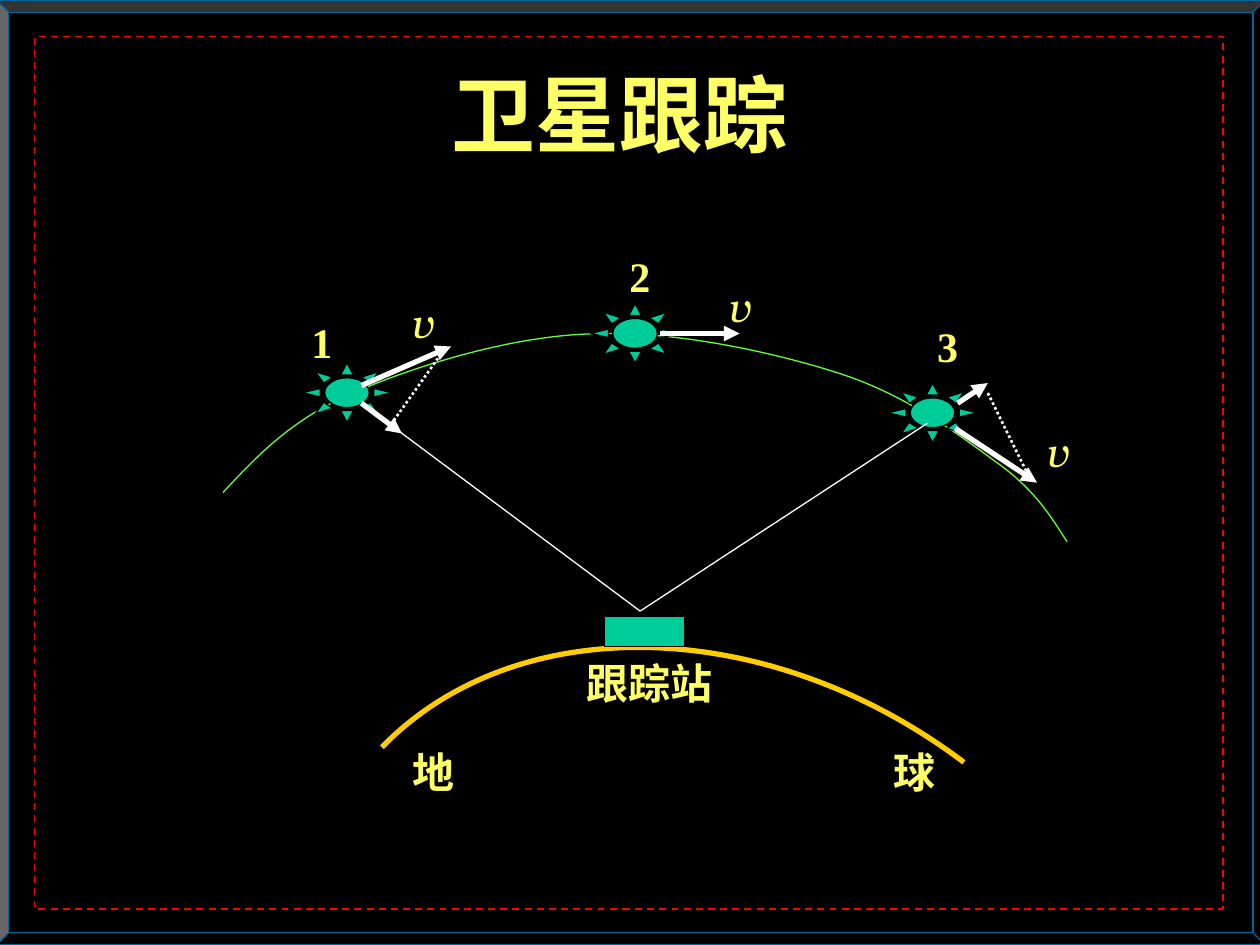
"""Build the satellite tracking slide: orbit, velocity vectors and ground station."""
from lxml import etree
from pptx import Presentation
from pptx.dml.color import RGBColor
from pptx.enum import dml, shapes, text
from pptx.oxml import ns
from pptx.util import Pt

BLACK = RGBColor(0x00, 0x00, 0x00)
WHITE = RGBColor(0xFF, 0xFF, 0xFF)
BLUE = RGBColor(0x00, 0x66, 0x99)
RED = RGBColor(0xFF, 0x00, 0x00)
GOLD = RGBColor(0xFF, 0xCC, 0x00)
GREEN = RGBColor(0x66, 0xFF, 0x33)
TEAL = RGBColor(0x00, 0xCC, 0x99)
YELLOW = RGBColor(0xFF, 0xFF, 0x66)


def style(shape, fill, line, width):
    shape.shadow.inherit = False
    if fill is None:
        shape.fill.background()
    else:
        shape.fill.solid()
        shape.fill.fore_color.rgb = fill
    shape.line.color.rgb = line
    shape.line.width = Pt(width)


def add_curve(canvas, points):
    start, *rest = [(Pt(x), Pt(y)) for x, y in points]
    builder = canvas.build_freeform(*start)
    builder.add_line_segments(rest, close=False)
    curve = builder.convert_to_shape()
    lines = list(curve._element.iter(ns.qn("a:lnTo")))
    for i in range(0, len(lines), 3):
        bezier = etree.SubElement(lines[i].getparent(), ns.qn("a:cubicBezTo"))
        for line in lines[i:i + 3]:
            bezier.append(line[0])
            line.getparent().remove(line)
    return curve


prs = Presentation()
prs.slide_width, prs.slide_height = Pt(720), Pt(540)
slide = prs.slides.add_slide(prs.slide_layouts[6])
slide.background.fill.solid()
slide.background.fill.fore_color.rgb = BLACK
canvas = slide.shapes
kinds = shapes.MSO_SHAPE

frame = canvas.add_shape(kinds.BEVEL, Pt(-2), Pt(0), Pt(725), Pt(540))
frame.adjustments[0] = 0.013
style(frame, BLACK, BLUE, 0.75)
border = canvas.add_shape(kinds.RECTANGLE, Pt(19.8), Pt(20.9), Pt(679), Pt(498.5))
style(border, None, RED, 1)
border.line.dash_style = dml.MSO_LINE.DASH

earth = [(550.8, 435.6), (439.2, 351.4), (295.2, 347.8), (218.2, 427)]
orbit = [
    (127.4, 281.5),
    (146.9, 260.6), (166.3, 239.8), (201.6, 224.6),
    (236.2, 209.5), (290.9, 192.2), (337.7, 190.8),
    (383.8, 188.6), (440.6, 200.9), (478.8, 213.1),
    (517.7, 225.4), (547.9, 248.4), (569.5, 264.2),
    (591.8, 280.1), (600.5, 295.2), (609.8, 309.6),
]
for points, color, width in ((earth, GOLD, 3), (orbit, GREEN, 0.75)):
    style(add_curve(canvas, points), None, color, width)

for left, top in ((172.8, 207.4), (337.4, 173.5), (507.4, 218.9)):
    satellite = canvas.add_shape(kinds.SUN, Pt(left), Pt(top), Pt(51), Pt(34))
    satellite.adjustments[0] = 0.25
    style(satellite, TEAL, BLACK, 0.75)
station = canvas.add_shape(kinds.RECTANGLE, Pt(345.6), Pt(352), Pt(45.4), Pt(17.3))
style(station, TEAL, BLACK, 0.75)

VECTOR, SIGHT, PROJECTION = "vector", "sight", "projection"
widths = {VECTOR: 3, SIGHT: 0.75, PROJECTION: 1.5}
rays = [
    (VECTOR, 206.6, 220.3, 257.8, 198),
    (SIGHT, 206.6, 230.4, 365.8, 349.2),
    (VECTOR, 206.6, 230.4, 229.7, 247.7),
    (PROJECTION, 252, 202.3, 223.9, 241.9),
    (VECTOR, 377.3, 190.6, 422.6, 190.6),
    (VECTOR, 545.8, 244.8, 592.6, 275.8),
    (SIGHT, 365.8, 349.2, 529.9, 241.9),
    (VECTOR, 547.2, 230.4, 564.5, 218.9),
    (PROJECTION, 564.5, 224.6, 586.8, 270),
]
for role, *ends in rays:
    ray = canvas.add_connector(shapes.MSO_CONNECTOR.STRAIGHT, *map(Pt, ends))
    ray.line.color.rgb = WHITE
    ray.line.width = Pt(widths[role])
    if role == PROJECTION:
        ray.line.dash_style = dml.MSO_LINE.ROUND_DOT
    properties = ray._element.spPr
    if role == VECTOR:
        outline = properties.find(ns.qn("a:ln"))
        etree.SubElement(outline, ns.qn("a:tailEnd"), type="triangle")
    etree.SubElement(properties, ns.qn("a:effectLst"))

label = {"name": "Times New Roman", "size": Pt(24), "bold": True}
title = {**label, "size": Pt(48)}
symbol = {"name": "TeX Gyre Bonum", "size": Pt(24), "italic": True}
captions = [
    ("跟踪站", 320, 372.2, 102.2, 36, label),
    ("地\t球", 195.8, 423, 380.2, 36, label),
    ("卫星跟踪", 217.8, 32.2, 272.2, 64.8, title),
    ("1", 161.3, 177.1, 45.4, 36, label),
    ("2", 343, 139.7, 45.4, 36, label),
    ("3", 518.8, 179.6, 45.4, 36, label),
    ("v", 218.2, 166, 45.4, 36, symbol),
    ("v", 399.6, 157, 45.4, 36, symbol),
    ("v", 581, 239.8, 45.4, 36, symbol),
]
for wording, *bounds, font_values in captions:
    caption = canvas.add_textbox(*map(Pt, bounds)).text_frame
    caption.word_wrap = True
    paragraph = caption.paragraphs[0]
    paragraph.alignment = text.PP_ALIGN.CENTER
    if "\t" in wording:
        paragraph.alignment = text.PP_ALIGN.LEFT
        caption.margin_left = Pt(40.2)
        tabs = etree.SubElement(paragraph._p.get_or_add_pPr(), ns.qn("a:tabLst"))
        etree.SubElement(tabs, ns.qn("a:tab"), pos=str(Pt(274.8)), algn="l")
    run = paragraph.add_run()
    run.text = wording
    run.font.color.rgb = YELLOW
    for attribute, value in font_values.items():
        setattr(run.font, attribute, value)

prs.save("out.pptx")
